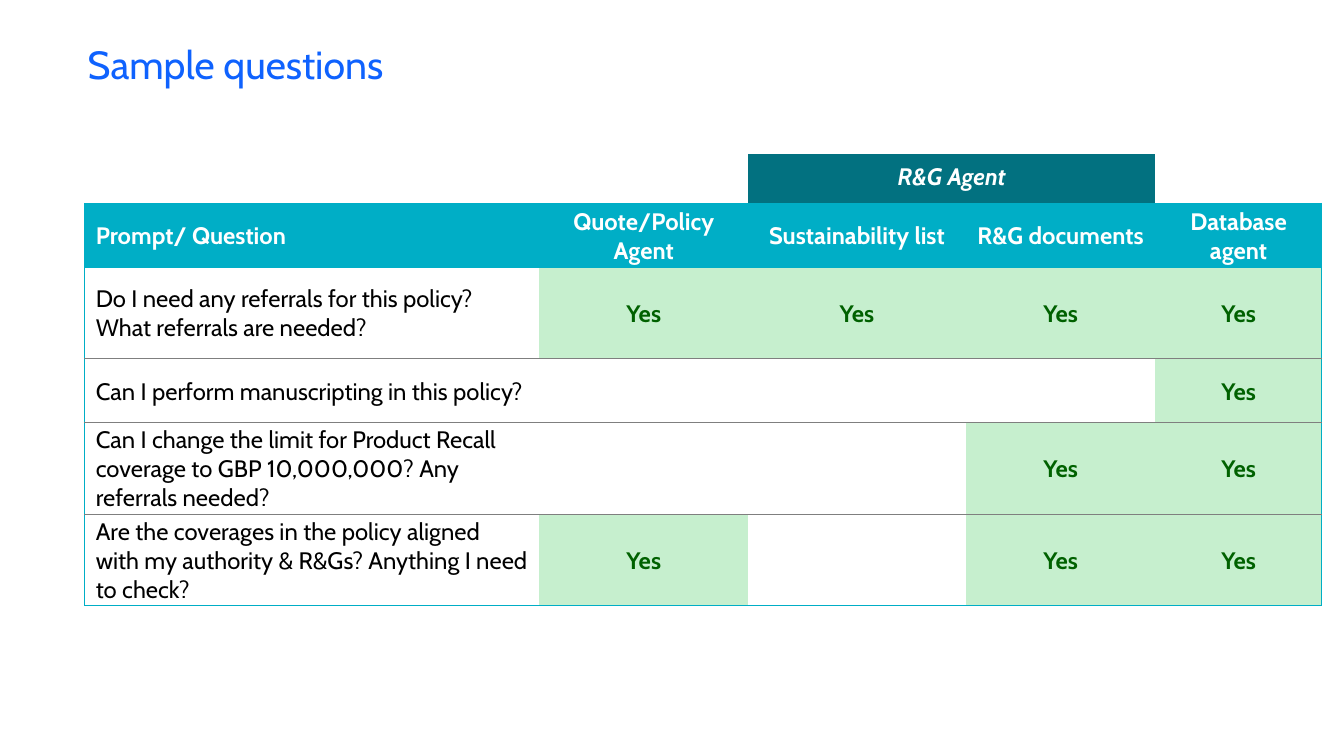
"""Build the slide of sample questions and the agents that answer each one."""
import pptx
import pptx.dml.color
import pptx.enum.text
import pptx.oxml
import pptx.oxml.ns
import pptx.util

TITLE = "Sample questions"
GROUP = "R&G Agent"
HEADERS = ["Prompt/ Question", "Quote/Policy Agent", "Sustainability list",
           "R&G documents", "Database agent"]
QUESTIONS = [
    ("Do I need any referrals for this policy? What referrals are needed?", {1, 2, 3, 4}),
    ("Can I perform manuscripting in this policy?", {4}),
    ("Can I change the limit for Product Recall coverage to GBP 10,000,000? "
     "Any referrals needed?", {3, 4}),
    ("Are the coverages in the policy aligned with my authority & R&Gs? "
     "Anything I need to check?", {1, 3, 4}),
]
GROUP_COLS = (2, 3)
COLS = [4.51, 2.07, 2.16, 1.88, 1.65]
ROWS = [0.49, 0.63, 0.91, 0.63, 0.91, 0.91]
TABLE_LEFT, TABLE_TOP = 0.84, 1.53
TITLE_BOX = (0.87, 0.4, 4.88, 0.47)

THEME = {
    "font": "Cabin", "title_size": 28, "size": 17,
    "title": "0F62FE", "group": "027180", "teal": "00AEC6", "rule": "7F7F7F",
    "white": "FFFFFF", "black": "000000", "yes": "006100", "yes_fill": "C6EFCE",
}
STYLES = {
    "group": {"fill": "group", "color": "white", "bold": True, "italic": True},
    "header": {"fill": "teal", "color": "white", "bold": True},
    "question": {"fill": None, "color": "black", "bold": False},
    "yes": {"fill": "yes_fill", "color": "yes", "bold": True},
}
Inches = pptx.util.Inches
ALIGN = pptx.enum.text.PP_ALIGN
ANCHOR = pptx.enum.text.MSO_ANCHOR


def rgb(name):
    return pptx.dml.color.RGBColor.from_string(THEME[name])


def write(tf, text, color, size="size", align=ALIGN.LEFT, **formats):
    p = tf.paragraphs[0]
    p.alignment = align
    r = p.add_run()
    r.text = text
    formats.update(name=THEME["font"], size=pptx.util.Pt(THEME[size]))
    for key, value in formats.items():
        setattr(r.font, key, value)
    r.font.color.rgb = rgb(color)


def set_borders(cell, row, col):
    def across(edge):
        if edge == 0:
            return None
        return "teal" if edge in (1, 2, len(ROWS)) else "rule"

    edges = {"L": "teal" if row and col == 0 else None,
             "R": "teal" if row and col == len(COLS) - 1 else None,
             "T": across(row), "B": across(row + 1)}
    tc_pr = cell._tc.get_or_add_tcPr()
    for side, color in edges.items():
        paint = f'<a:solidFill><a:srgbClr val="{THEME[color]}"/></a:solidFill>' if color else "<a:noFill/>"
        width = pptx.util.Pt(0.75 if color == "rule" else 1)
        tc_pr.append(pptx.oxml.parse_xml(
            f'<a:ln{side} {pptx.oxml.ns.nsdecls("a")} w="{width}">{paint}</a:ln{side}>'))


def fill_cell(cell, text, kind, col):
    style = dict(STYLES[kind])
    fill = style.pop("fill")
    if fill:
        cell.fill.solid()
        cell.fill.fore_color.rgb = rgb(fill)
    grouped = kind == "group"
    side, top, bottom = (0.15, 0.08, 0.08) if grouped else (0.11, 0.02, 0)
    layout = {"margin_left": Inches(side), "margin_right": Inches(side),
              "margin_top": Inches(top), "margin_bottom": Inches(bottom),
              "vertical_anchor": ANCHOR.TOP if grouped else ANCHOR.MIDDLE}
    for key, value in layout.items():
        setattr(cell, key, value)
    write(cell.text_frame, text, align=ALIGN.CENTER if col else ALIGN.LEFT, **style)


def add_title(slide):
    tf = slide.shapes.add_textbox(*map(Inches, TITLE_BOX)).text_frame
    tf.word_wrap = True
    for side in ("left", "right", "top", "bottom"):
        setattr(tf, f"margin_{side}", 0)
    write(tf, TITLE, "title", "title_size")


def add_questions(slide):
    frame = slide.shapes.add_table(
        len(ROWS), len(COLS), *map(Inches, (TABLE_LEFT, TABLE_TOP, sum(COLS), sum(ROWS))))
    table = frame.table
    table.first_row = table.horz_banding = False
    for column, width in zip(table.columns, COLS):
        column.width = Inches(width)
    for row, height in zip(table.rows, ROWS):
        row.height = Inches(height)

    content = {(0, GROUP_COLS[0]): (GROUP, "group")}
    for col, header in enumerate(HEADERS):
        content[1, col] = (header, "header")
    for row, (question, agents) in enumerate(QUESTIONS, 2):
        content[row, 0] = (question, "question")
        content.update({(row, col): ("Yes", "yes") for col in agents})

    first, last = GROUP_COLS
    table.cell(0, first).merge(table.cell(0, last))
    for row in range(len(ROWS)):
        for col in range(len(COLS)):
            cell = table.cell(row, col)
            set_borders(cell, row, col)
            cell.fill.background()
            if (row, col) in content:
                fill_cell(cell, *content[row, col], col)


def main():
    prs = pptx.Presentation()
    prs.slide_width, prs.slide_height = Inches(13.33), Inches(7.5)
    slide = prs.slides.add_slide(prs.slide_layouts[6])
    add_questions(slide)
    add_title(slide)
    prs.save("out.pptx")


if __name__ == "__main__":
    main()
